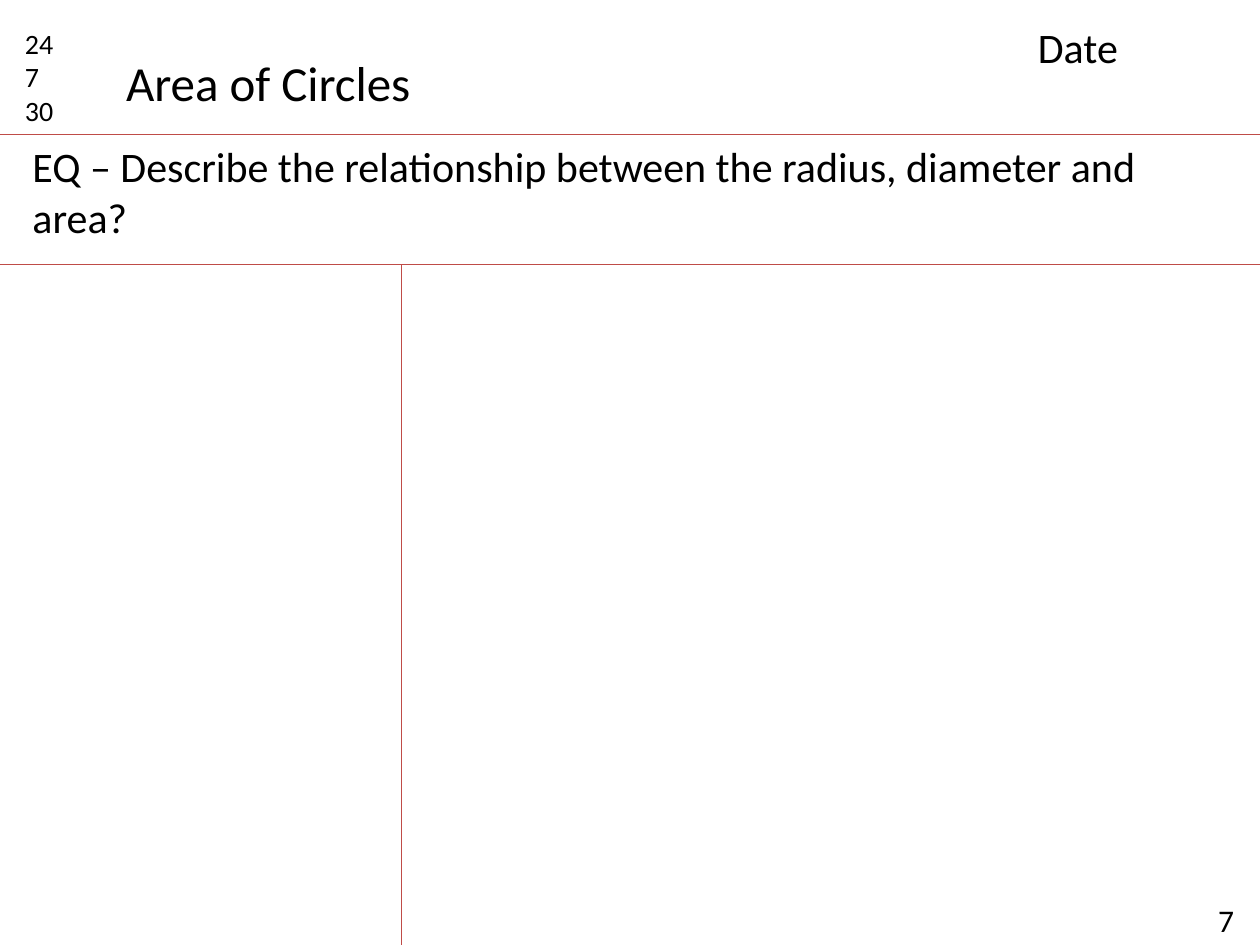
from pptx import Presentation
from pptx.dml.color import RGBColor
from pptx.enum.shapes import MSO_CONNECTOR
from pptx.enum.text import MSO_ANCHOR, MSO_AUTO_SIZE, PP_ALIGN
from pptx.oxml.ns import qn
from pptx.util import Pt
from lxml.etree import SubElement

WIDTH, HEIGHT = 720, 540
FONT = "Calibri"
COLORS = {"text": "000000", "rule": "BF4C48"}

HEADER_Y, QUESTION_Y, MARGIN_X = 77, 151.2, 229.5

title = ("Area of Circles", (64.8, 26.6, 178.6, 41), 28)
notes = [
    ("7", (689, 511.2, 43.2, 28.8), 18),
    ("24\n7\n30", (7.2, 11.5, 45.4, 65.5), 16),
    ("Date", (586, 8.6, 124.6, 36), 24),
    ("EQ – Describe the relationship between the radius, diameter and area?",
     (11.5, HEADER_Y, 679, 65.5), 24),
]
rules = [
    (0, HEADER_Y, WIDTH, HEADER_Y),
    (0, QUESTION_Y, WIDTH, QUESTION_Y),
    (MARGIN_X, QUESTION_Y, MARGIN_X, HEIGHT),
]


def write(holder, text, size, wrap=True):
    frame = holder.text_frame
    frame.text = text
    frame.word_wrap = wrap
    frame.auto_size = MSO_AUTO_SIZE.SHAPE_TO_FIT_TEXT
    frame.vertical_anchor = MSO_ANCHOR.TOP
    for paragraph in frame.paragraphs:
        paragraph.alignment = PP_ALIGN.LEFT
        for run in paragraph.runs:
            run.font.name = FONT
            run.font.size = Pt(size)
            run.font.color.rgb = RGBColor.from_string(COLORS["text"])


def draw_rule(slide, ends):
    rule = slide.shapes.add_connector(MSO_CONNECTOR.STRAIGHT, *map(Pt, ends))
    rule.line.color.rgb = RGBColor.from_string(COLORS["rule"])
    rule.line.width = Pt(0.75)
    SubElement(rule._element.spPr, qn("a:effectLst"))


def main():
    deck = Presentation()
    deck.slide_width, deck.slide_height = Pt(WIDTH), Pt(HEIGHT)
    slide = deck.slides.add_slide(deck.slide_layouts[5])

    for ends in rules:
        draw_rule(slide, ends)

    heading, place, size = title
    topic = slide.shapes.title
    topic.left, topic.top, topic.width, topic.height = map(Pt, place)
    write(topic, heading, size, wrap=False)

    for text, place, size in notes:
        write(slide.shapes.add_textbox(*map(Pt, place)), text, size)

    deck.save("out.pptx")


if __name__ == "__main__":
    main()
